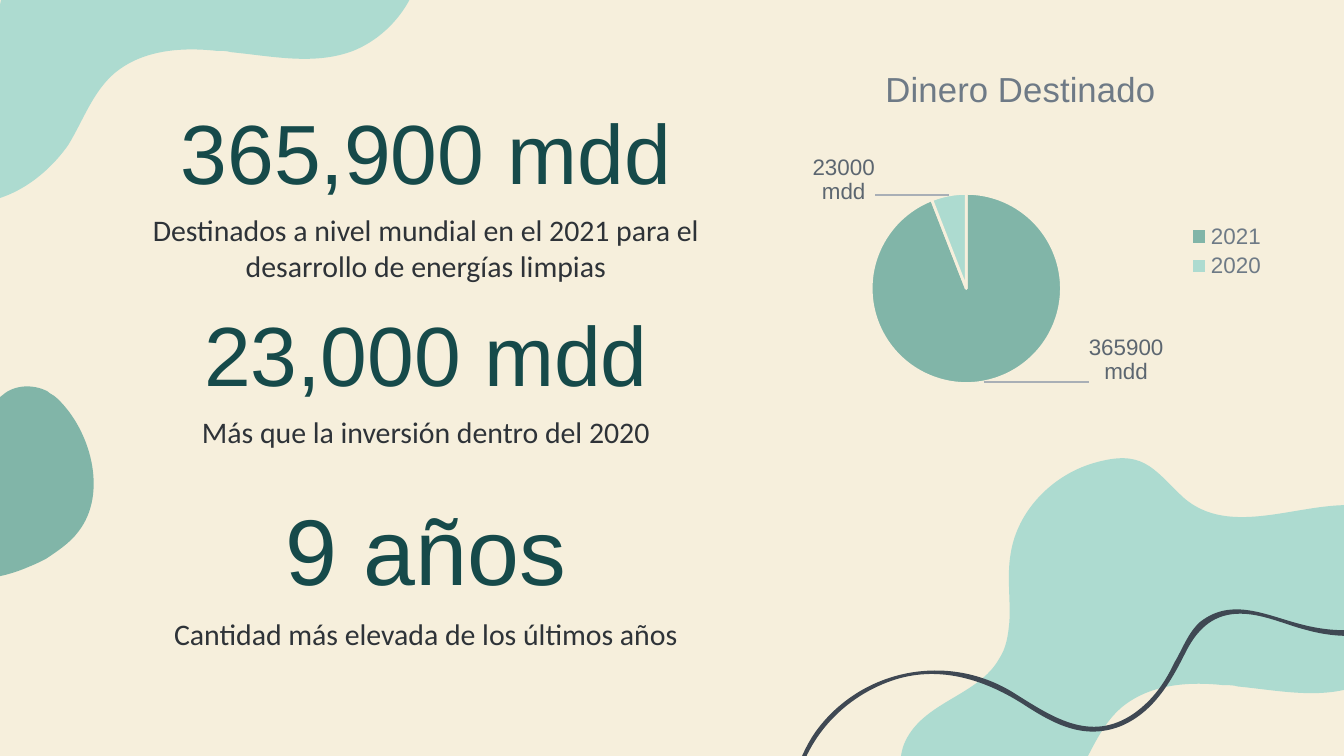
import dataclasses
import pptx
import pptx.chart.data
import pptx.dml.color
import pptx.enum.chart
import pptx.enum.text
import pptx.oxml
import pptx.oxml.ns
import pptx.util
from pptx.util import Cm

CHART_XML = pptx.oxml.ns.nsdecls("c", "a")
DRAWING_XML = pptx.oxml.ns.nsdecls("a")


@dataclasses.dataclass(frozen=True)
class Theme:
    cream: str = "F6EFDC"
    mint: str = "ADDBD0"
    sage: str = "81B5A8"
    slate: str = "3F4853"
    figure: str = "164A4A"
    caption: str = "2E3338"
    chart_text: str = "6E7A86"
    label_text: str = "5C6670"
    leader: str = "A9AFB6"
    display_font: str = "Arial"
    body_font: str = "Calibri"
    figure_size: float = 45
    large_figure_size: float = 50
    caption_size: float = 16
    chart_title_size: float = 18.6
    chart_size: float = 12


THEME = Theme()

CLOUD = (407, 294), (404, 96), [
    (403, 85, 401, 75, 395, 67), (353, 7, 270, 80, 221, 36),
    (198, 14, 191, 0, 154, 11), (124, 20, 98, 46, 93, 78),
    (90, 95, 93, 112, 92, 129), (91, 139, 90, 148, 84, 157),
    (69, 183, 31, 188, 16, 215), (0, 243, 25, 283, 57, 288),
    (90, 294, 122, 273, 141, 246), (152, 228, 159, 207, 175, 193),
    (195, 176, 223, 173, 251, 176), (255, 176, 259, 176, 262, 177),
    (293, 180, 324, 187, 353, 176), (385, 163, 407, 129, 404, 96)]
PEBBLE = (153, 150), (114, 11), [
    (112, 9, 109, 8, 107, 6), (97, 1, 83, 1, 74, 9),
    (63, 17, 58, 32, 53, 44), (52, 45, 52, 45, 52, 46),
    (46, 59, 40, 66, 27, 74), (22, 76, 17, 79, 14, 83),
    (0, 97, 5, 123, 20, 135), (40, 151, 70, 147, 93, 137),
    (98, 135, 102, 133, 106, 131), (115, 125, 124, 119, 130, 111),
    (153, 82, 139, 34, 114, 11)]
RIBBON = (551, 282), (547, 2), [
    (525, 15, 506, 34, 493, 57), (486, 68, 482, 79, 479, 92),
    (474, 107, 474, 123, 469, 138), (456, 178, 410, 181, 376, 172),
    (351, 166, 324, 151, 300, 170), (291, 178, 287, 190, 281, 200),
    (274, 215, 265, 228, 251, 238), (218, 261, 189, 240, 160, 222),
    (112, 193, 50, 205, 16, 249), (9, 258, 4, 269, 0, 279),
    (0, 281, 3, 282, 3, 280), (14, 249, 39, 225, 70, 214),
    (104, 202, 138, 212, 168, 231), (191, 246, 213, 258, 240, 248),
    (265, 238, 278, 215, 289, 193), (297, 177, 308, 165, 327, 164),
    (345, 163, 363, 172, 379, 176), (404, 183, 434, 183, 454, 166),
    (477, 146, 476, 116, 483, 89), (491, 59, 511, 33, 535, 14),
    (540, 10, 544, 8, 549, 5), (551, 4, 549, 0, 547, 2)]


def rgb(value):
    return pptx.dml.color.RGBColor.from_string(value)


def set_font(font, size, color, name):
    font.size = pptx.util.Pt(size)
    font.color.rgb = rgb(color)
    font.name = name
    font.bold = False


def write(frame, text, *, size, color, font=THEME.display_font):
    paragraph = frame.paragraphs[0]
    paragraph.alignment = pptx.enum.text.PP_ALIGN.CENTER
    run = paragraph.add_run()
    run.text = text
    set_font(run.font, size, color, font)


def curved_path(outline):
    (across, down), (start_x, start_y), curves = outline
    body = f'<a:moveTo><a:pt x="{start_x}" y="{start_y}"/></a:moveTo>'
    for curve in curves:
        points = "".join(f'<a:pt x="{x}" y="{y}"/>'
                         for x, y in zip(curve[::2], curve[1::2]))
        body += f"<a:cubicBezTo>{points}</a:cubicBezTo>"
    return pptx.oxml.parse_xml(
        f'<a:path {DRAWING_XML} w="{across}" h="{down}">{body}<a:close/></a:path>')


def add_blob(slide, box, outline, color):
    _, start, curves = outline
    builder = slide.shapes.build_freeform(*start)
    builder.add_line_segments([curve[4:] for curve in curves], close=True)
    blob = builder.convert_to_shape()
    straight_path = blob._element.find(".//" + pptx.oxml.ns.qn("a:path"))
    straight_path.getparent().replace(straight_path, curved_path(outline))
    blob.left, blob.top, blob.width, blob.height = box
    blob.shadow.inherit = False
    blob.fill.solid()
    blob.fill.fore_color.rgb = rgb(color)
    blob.line.fill.background()


def place_text(holder, box, anchor, text, **style):
    holder.left, holder.top, holder.width, holder.height = box
    frame = holder.text_frame
    frame.word_wrap = True
    frame.auto_size = pptx.enum.text.MSO_AUTO_SIZE.NONE
    frame.vertical_anchor = anchor
    frame.margin_left = frame.margin_right = 0
    frame.margin_top = frame.margin_bottom = 0
    write(frame, text, **style)


def add_statistic(slide, box, figure, caption, size, title=None, overhang=0):
    left, top, width, height = box
    caption_height = Cm(0.76)
    heading = title or slide.shapes.add_textbox(*box)
    slide.shapes._spTree.append(heading._element)
    place_text(heading, (left - overhang, top, width + 2 * overhang, Cm(1.55)),
               pptx.enum.text.MSO_ANCHOR.BOTTOM, figure,
               size=size, color=THEME.figure)
    caption_box = left, top + height - caption_height, width, caption_height
    place_text(slide.shapes.add_textbox(*caption_box), caption_box,
               pptx.enum.text.MSO_ANCHOR.TOP, caption, size=THEME.caption_size,
               color=THEME.caption, font=THEME.body_font)


def manual_layout(x, y, size=None):
    parts = [("xMode", "edge"), ("yMode", "edge")] if size else []
    parts += [("x", x), ("y", y)]
    if size:
        parts = [("layoutTarget", "inner")] + parts + [("w", size[0]), ("h", size[1])]
    body = "".join(f'<c:{tag} val="{value}"/>' for tag, value in parts)
    return pptx.oxml.parse_xml(
        f"<c:layout {CHART_XML}><c:manualLayout>{body}</c:manualLayout></c:layout>")


def add_spending_pie(slide, box):
    spending = pptx.chart.data.CategoryChartData()
    spending.categories = ["2021", "2020"]
    spending.add_series("Dinero Destinado", (365900, 23000))
    chart = slide.shapes.add_chart(
        pptx.enum.chart.XL_CHART_TYPE.PIE, *box, spending).chart
    set_font(chart.font, 10, THEME.caption, THEME.display_font)
    chart.has_title = True
    write(chart.chart_title.text_frame, "Dinero Destinado",
          size=THEME.chart_title_size, color=THEME.chart_text)
    chart.chart_title.include_in_layout = False
    chart.has_legend = True
    chart.legend.position = pptx.enum.chart.XL_LEGEND_POSITION.RIGHT
    chart.legend.include_in_layout = False
    set_font(chart.legend.font, THEME.chart_size, THEME.chart_text, THEME.display_font)

    plot = chart.plots[0]
    plot.vary_by_categories = True
    plot_area = chart._chartSpace.chart.plotArea
    for layout in plot_area.findall(pptx.oxml.ns.qn("c:layout")):
        plot_area.remove(layout)
    plot_area.insert(0, manual_layout(0.21, 0.36, (0.37, 0.46)))

    series = plot.series[0]
    slices = [("365900 mdd", THEME.sage, 0.2, -0.13),
              ("23000 mdd", THEME.mint, -0.14, 0.04)]
    for index, (text, color, shift_x, shift_y) in enumerate(slices):
        point = series.points[index]
        point.format.fill.solid()
        point.format.fill.fore_color.rgb = rgb(color)
        point.format.line.color.rgb = rgb(THEME.cream)
        point.format.line.width = pptx.util.Pt(1.5)
        label = point.data_label
        write(label.text_frame, text, size=THEME.chart_size, color=THEME.label_text)
        label.position = pptx.enum.chart.XL_LABEL_POSITION.BEST_FIT
        label._dLbl.insert(1, manual_layout(shift_x, shift_y))
    labels = series.data_labels
    labels.show_value = True
    labels.position = pptx.enum.chart.XL_LABEL_POSITION.BEST_FIT
    set_font(labels.font, THEME.chart_size, THEME.label_text, THEME.display_font)
    labels._element.append(pptx.oxml.parse_xml(
        f'<c:leaderLines {CHART_XML}><c:spPr><a:ln w="9525"><a:solidFill>'
        f'<a:srgbClr val="{THEME.leader}"/></a:solidFill></a:ln></c:spPr></c:leaderLines>'))


def main():
    deck = pptx.Presentation()
    deck.slide_width, deck.slide_height = Cm(25.4), Cm(14.29)
    slide = deck.slides.add_slide(deck.slide_layouts[5])
    slide.background.fill.solid()
    slide.background.fill.fore_color.rgb = rgb(THEME.cream)

    cloud_size = Cm(10.34), Cm(7.47)
    add_blob(slide, (Cm(16.74), Cm(8.48), *cloud_size), CLOUD, THEME.mint)
    add_blob(slide, (Cm(-1.83), Cm(7.24), Cm(3.89), Cm(3.81)), PEBBLE, THEME.sage)
    add_blob(slide, (Cm(15.06), Cm(7.44), Cm(14), Cm(7.16)), RIBBON, THEME.slate)
    add_blob(slide, (Cm(-2.29), Cm(-3.51), *cloud_size), CLOUD, THEME.mint)

    statistics = [
        ("365,900 mdd", "Destinados a nivel mundial en el 2021 para el desarrollo "
         "de energías limpias", THEME.figure_size, slide.shapes.title, Cm(2.66)),
        ("23,000 mdd", "Más que la inversión dentro del 2020", THEME.figure_size),
        ("9 años", "Cantidad más elevada de los últimos años",
         THEME.large_figure_size)]
    for row, statistic in enumerate(statistics):
        box = Cm(2.69), Cm(2.26 + 3.81 * row), Cm(10.72), Cm(2.51)
        add_statistic(slide, box, *statistic)

    add_spending_pie(slide, (Cm(14.4), Cm(0.84), Cm(9.78), Cm(7.82)))
    deck.save("out.pptx")


if __name__ == "__main__":
    main()
